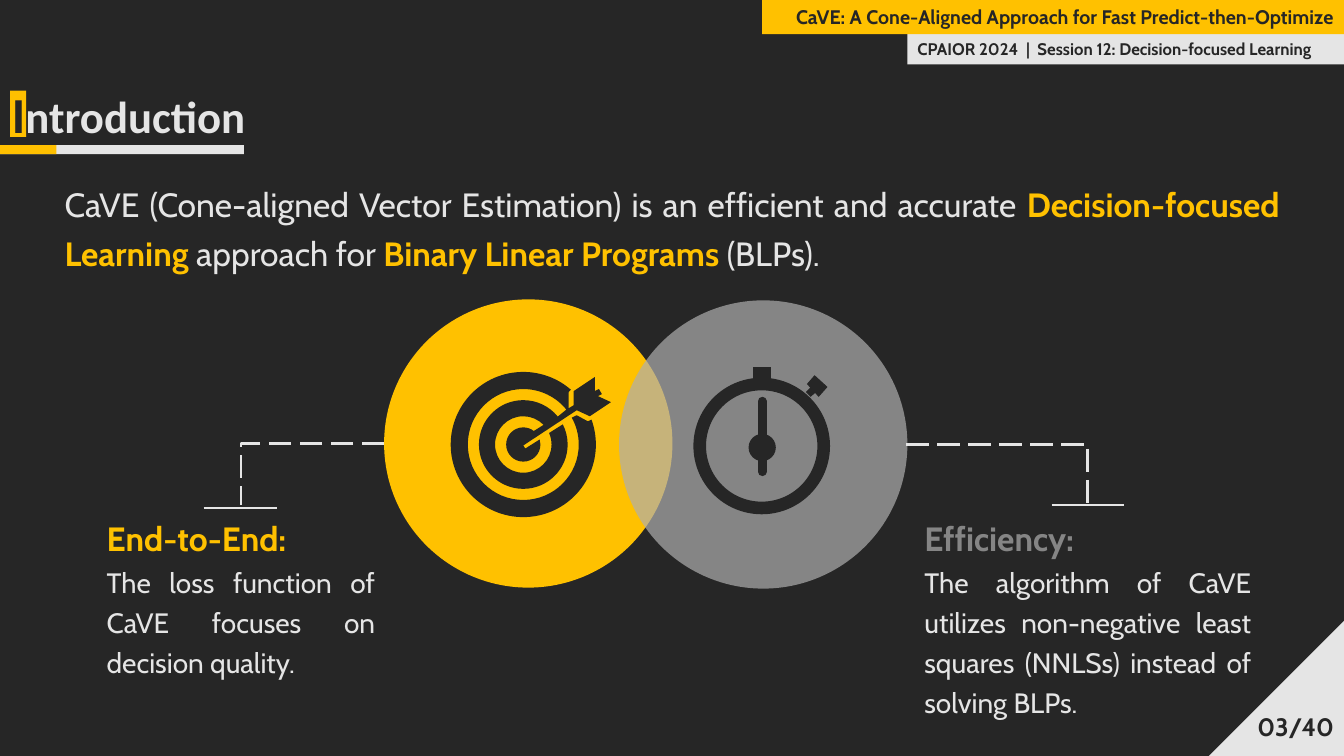
from dataclasses import dataclass
from functools import singledispatch
from math import cos, radians, sin, tan
from typing import Optional

from lxml import etree
from pptx import Presentation
from pptx import util as u
from pptx.dml.color import RGBColor
from pptx.enum import dml, shapes, text
from pptx.oxml import ns

PX = 9144
DARK = RGBColor(0x26, 0x26, 0x26)
LIGHT = RGBColor(0xE5, 0xE5, 0xE5)
YELLOW = RGBColor(0xFF, 0xC1, 0x00)
AMBER = RGBColor(0xFF, 0xC0, 0x00)
GREY = RGBColor(0xAE, 0xAE, 0xAE)
HEADING_GREY = RGBColor(0x85, 0x85, 0x85)
RECT, OVAL = shapes.MSO_SHAPE.RECTANGLE, shapes.MSO_SHAPE.OVAL
TRIANGLE = shapes.MSO_SHAPE.RIGHT_TRIANGLE
STRAIGHT, ELBOW = shapes.MSO_CONNECTOR.STRAIGHT, shapes.MSO_CONNECTOR.ELBOW
LEFT, RIGHT, JUSTIFY = text.PP_ALIGN.LEFT, text.PP_ALIGN.RIGHT, text.PP_ALIGN.JUSTIFY
TARGET_CENTRE = (519, 441)
Box = tuple[int, int, int, int]
Point = tuple[float, float]


@dataclass
class Run:
    text: str
    size: int
    color: RGBColor
    bold: bool = True
    font: str = "Cabin"


@dataclass
class Block:
    box: Box
    paragraphs: list[list[Run]]
    align: text.PP_ALIGN = LEFT
    spacing: Optional[float] = None
    side_inset: int = 10
    fill: Optional[RGBColor] = None
    page_number: bool = False


@dataclass
class Figure:
    kind: shapes.MSO_SHAPE
    box: Box
    fill: Optional[RGBColor]
    line: float = 0
    alpha: int = 100
    rotation: int = 0


@dataclass
class Link:
    kind: shapes.MSO_CONNECTOR
    ends: Box
    color: RGBColor = LIGHT
    width: float = 2
    cap: str = "flat"


@dataclass
class Node:
    end: Point
    controls: tuple[Point, ...] = ()


@dataclass
class Outline:
    nodes: list[Node]
    line: float = 0


def emu(values: tuple[float, ...]) -> list[int]:
    return [round(v * PX) for v in values]


def style(sp, fill: Optional[RGBColor], line: float = 0) -> None:
    sp.shadow.inherit = False
    if fill is None:
        sp.fill.background()
    else:
        sp.fill.solid()
        sp.fill.fore_color.rgb = fill
    if line:
        sp.line.color.rgb = DARK
        sp.line.width = u.Pt(line)
        etree.SubElement(sp.line._ln, ns.qn("a:miter"), lim="800000")
    else:
        sp.line.fill.background()


@singledispatch
def draw(item, s) -> None:
    raise TypeError(item)


@draw.register
def draw_figure(fig: Figure, s) -> None:
    sp = s.shapes.add_shape(fig.kind, *emu(fig.box))
    style(sp, fig.fill, fig.line)
    sp.rotation = fig.rotation
    if fig.alpha < 100:
        color = sp._element.spPr.find(".//" + ns.qn("a:srgbClr"))
        etree.SubElement(color, ns.qn("a:alpha"), val=str(fig.alpha * 1000))


@draw.register
def draw_block(block: Block, s) -> None:
    if block.fill is None:
        sp = s.shapes.add_textbox(*emu(block.box))
    else:
        sp = s.shapes.add_shape(RECT, *emu(block.box))
        style(sp, block.fill)
    tf = sp.text_frame
    tf.word_wrap = True
    fit, anchor = text.MSO_AUTO_SIZE, text.MSO_ANCHOR
    tf.auto_size = fit.NONE if block.page_number else fit.SHAPE_TO_FIT_TEXT
    tf.vertical_anchor = anchor.MIDDLE if block.page_number else anchor.TOP
    tf.margin_left = tf.margin_right = block.side_inset * PX
    for i, runs in enumerate(block.paragraphs):
        p = tf.add_paragraph() if i else tf.paragraphs[0]
        p.alignment = block.align
        p.line_spacing = block.spacing
        for run in runs:
            r = p.add_run()
            r.text = run.text
            r.font.name = run.font
            r.font.size = u.Pt(run.size)
            r.font.bold = run.bold
            r.font.color.rgb = run.color


@draw.register
def draw_link(link: Link, s) -> None:
    c = s.shapes.add_connector(link.kind, *emu(link.ends))
    c.line.color.rgb = link.color
    c.line.width = u.Pt(link.width)
    c.line._ln.set("cap", link.cap)
    if link.kind == ELBOW:
        c.line.dash_style = dml.MSO_LINE.LONG_DASH
        c._element.spPr.find(ns.qn("a:prstGeom")).set("prst", "bentConnector2")
    etree.SubElement(c._element.spPr, ns.qn("a:effectLst"))


@draw.register
def draw_outline(outline: Outline, s) -> None:
    first, *rest = outline.nodes
    builder = s.shapes.build_freeform(*emu(first.end), scale=1.0)
    builder.add_line_segments([emu(n.end) for n in rest], close=True)
    sp = builder.convert_to_shape()
    style(sp, DARK, outline.line)
    segments = list(sp._element.iter(ns.qn("a:lnTo")))
    for segment, node in zip(segments, rest):
        if node.controls:
            segment.tag = ns.qn("a:cubicBezTo")
            for i, control in enumerate(node.controls):
                x, y = emu(control)
                pt = etree.Element(ns.qn("a:pt"), x=str(x - sp.left), y=str(y - sp.top))
                segment.insert(i, pt)


def on_target(radius: float, angle: float) -> Point:
    a = radians(angle)
    return TARGET_CENTRE[0] + radius * cos(a), TARGET_CENTRE[1] + radius * sin(a)


def corners(*points: Point) -> list[Node]:
    return [Node(p) for p in points]


def arc(radius: int, start: int, end: int) -> list[Node]:
    low, high = sorted((start, end))
    quarters = [a for a in range(-90, 361, 90) if low < a < high]
    stops = sorted([start, *quarters, end], reverse=start > end)
    nodes = corners(on_target(radius, start))
    for a, b in zip(stops, stops[1:]):
        reach = 4 / 3 * tan(radians(b - a) / 4) * radius
        (x0, y0), (x1, y1) = on_target(radius, a), on_target(radius, b)
        a, b_rad = radians(a), radians(b)
        nodes.append(Node((x1, y1), (
            (x0 - reach * sin(a), y0 + reach * cos(a)),
            (x1 + reach * sin(b_rad), y1 - reach * cos(b_rad)))))
    return nodes


def callout(box: Box, heading: str, color: RGBColor, body: str) -> Block:
    return Block(box, [[Run(heading, 24, color)], [Run(body, 20, LIGHT, False)]],
                 JUSTIFY, 1.2)


TARGET = [
    *corners((583, 418), (572, 412)),
    *arc(55, -29, 321), *arc(44, 321, -27), *arc(28, -24, 316), *arc(17, 308, -17),
    *corners((521, 445), (519, 442), (572, 407), (585, 413), (606, 399), (593, 393),
             (597, 391), (594, 386), (590, 388), (590, 374), (569, 388), (569, 402),
             (564, 405), (564, 389)),
    *arc(72, 311, -20),
]
SCENE = [
    Figure(TRIANGLE, (1199, 616, 134, 134), LIGHT, rotation=270),
    Figure(RECT, (0, 144, 242, 9), LIGHT),
    Figure(RECT, (0, 144, 56, 9), AMBER),
    Figure(RECT, (10, 90, 16, 46), AMBER),
    Block((2, 78, 254, 71), [[Run("I", 36, DARK, font="Calibri"),
                              Run("ntroduction", 32, LIGHT, font="Calibri")]]),
    Block((900, 34, 433, 30),
          [[Run("CPAIOR 2024  |  Session 12: Decision-focused Learning", 12, DARK)]],
          fill=LIGHT),
    Block((756, 0, 577, 34),
          [[Run("CaVE: A Cone-Aligned Approach for Fast Predict-then-Optimize", 14, DARK)]],
          RIGHT, fill=YELLOW),
    Block((1033, 701, 300, 40), [[Run("03/40", 18, DARK)]], RIGHT, page_number=True),
    Block((57, 170, 1219, 181), [[
        Run("CaVE (Cone-aligned Vector Estimation) is an efficient and accurate ",
            24, LIGHT, False),
        Run("Decision-focused Learning", 24, YELLOW),
        Run(" approach for ", 24, LIGHT, False),
        Run("Binary Linear Programs ", 24, YELLOW),
        Run("(BLPs).", 24, LIGHT, False)]], JUSTIFY, 1.2, side_inset=7),
    Figure(OVAL, (381, 297, 286, 286), YELLOW),
    Outline(TARGET),
    callout((96, 501, 286, 176), "End-to-End: ", YELLOW,
            "The loss function of CaVE focuses on decision quality."),
    Link(ELBOW, (381, 440, 239, 501)),
    Link(STRAIGHT, (202, 504, 275, 504)),
    Figure(OVAL, (614, 298, 286, 286), GREY, alpha=70),
    Figure(OVAL, (694, 381, 123, 123), None, 9),
    Figure(OVAL, (743, 431, 26, 26), DARK, 0.75),
    Link(STRAIGHT, (756, 468, 756, 398), DARK, 6.25, "rnd"),
    Figure(RECT, (750, 367, 12, 14), DARK, 4.5),
    Outline(corners((808, 373), (801, 381), (812, 393), (820, 384)), 0.75),
    Outline(corners((811, 387), (807, 382), (800, 389), (804, 393)), 0.75),
    callout((907, 501, 344, 216), "Efficiency: ", HEADING_GREY,
            "The algorithm of CaVE utilizes non-negative least squares (NNLSs) "
            "instead of solving BLPs."),
    Link(ELBOW, (899, 441, 1079, 501)),
    Link(STRAIGHT, (1043, 501, 1115, 501)),
]


def main() -> None:
    prs = Presentation()
    prs.slide_width, prs.slide_height = u.Emu(1333 * PX), u.Emu(750 * PX)
    s = prs.slides.add_slide(prs.slide_layouts[6])
    s.background.fill.solid()
    s.background.fill.fore_color.rgb = DARK
    for item in SCENE:
        draw(item, s)
    prs.save("out.pptx")


if __name__ == "__main__":
    main()
